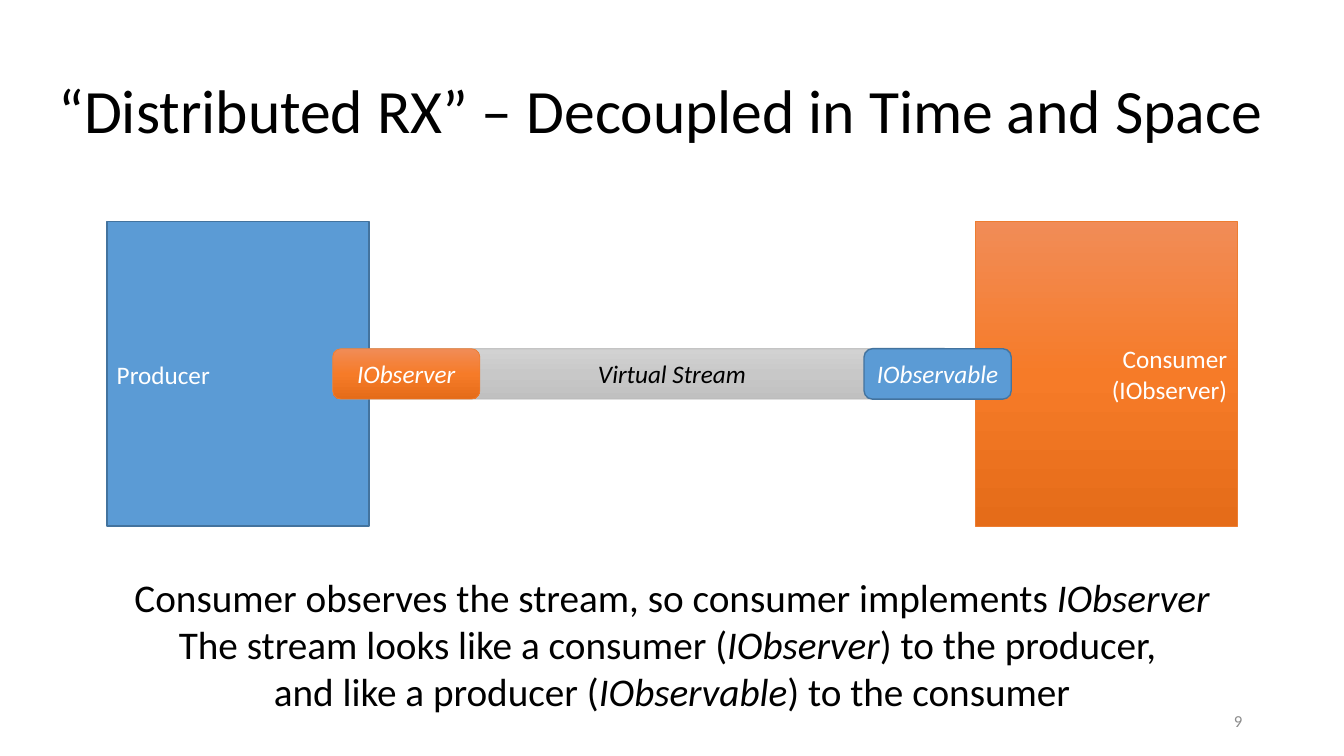
from copy import deepcopy

from pptx import Presentation
from pptx.dml.color import RGBColor
from pptx.enum.shapes import MSO_SHAPE
from pptx.enum.text import MSO_ANCHOR, PP_ALIGN
from pptx.oxml.ns import qn
from pptx.util import Inches, Pt

BLACK = RGBColor(0x00, 0x00, 0x00)
WHITE = RGBColor(0xFF, 0xFF, 0xFF)
PAGE_GRAY = RGBColor(0x8C, 0x8C, 0x8C)
BLUE = RGBColor(0x5B, 0x9B, 0xD5)
BLUE_EDGE = RGBColor(0x43, 0x73, 0x9E)
ORANGE_EDGE = RGBColor(0xED, 0x7D, 0x31)
GRAY_EDGE = RGBColor(0xA5, 0xA5, 0xA5)
ORANGES = [RGBColor(0xF1, 0x8C, 0x57), RGBColor(0xF6, 0x7B, 0x28), RGBColor(0xE5, 0x6C, 0x19)]
GRAYS = [RGBColor(0xD2, 0xD2, 0xD2), RGBColor(0xC8, 0xC8, 0xC8), RGBColor(0xC0, 0xC0, 0xC0)]

BLUE_STYLE = ([BLUE], BLUE_EDGE, 1)
ORANGE_STYLE = (ORANGES, ORANGE_EDGE, 0.5)
GRAY_STYLE = (GRAYS, GRAY_EDGE, 0.5)

TITLE = [[("“Distributed RX” – Decoupled in Time and Space", False)]]
PAGE_NUMBER = [[("9", False)]]
EXPLANATION = [
    [("Consumer observes the stream, so consumer implements ", False), ("IObserver", True)],
    [("The stream looks like a consumer (", False), ("IObserver", True), (") to the producer, ", False)],
    [("and like a producer (", False), ("IObservable", True), (") to the consumer", False)],
]

LEFT, RIGHT = 1.06, 12.27
BOX_W, BOX_H, BOX_TOP = 2.6, 3.02, 2.2
PIPE_LEFT, PIPE_RIGHT, PIPE_H = 3.3, 10.03, 0.5
END_W = 1.46
PIPE_TOP = BOX_TOP + (BOX_H - PIPE_H) / 2

BOXES = [
    ([[("Consumer", False)], [("(IObserver)", False)]], RIGHT - BOX_W, ORANGE_STYLE, PP_ALIGN.RIGHT),
    ([[("Producer", False)]], LEFT, BLUE_STYLE, PP_ALIGN.LEFT),
]
PIPE = [
    ("Virtual Stream", PIPE_LEFT, PIPE_RIGHT - PIPE_LEFT, GRAY_STYLE, BLACK),
    ("IObservable", PIPE_RIGHT - END_W, END_W, BLUE_STYLE, WHITE),
    ("IObserver", PIPE_LEFT, END_W, ORANGE_STYLE, WHITE),
]

prs = Presentation()
prs.slide_width, prs.slide_height = Inches(13.33), Inches(7.5)
slide = prs.slides.add_slide(prs.slide_layouts[6])


def add_text(text, at, size=18, color=BLACK, align=PP_ALIGN.LEFT,
             anchor=MSO_ANCHOR.MIDDLE, spacing=None, shape=None, style=None):
    box = [Inches(v) for v in at]
    if shape is None:
        s = slide.shapes.add_textbox(*box)
    else:
        s = slide.shapes.add_shape(shape, *box)
        s.shadow.inherit = False
        paint(s, *style)
    tf = s.text_frame
    tf.word_wrap = True
    tf.vertical_anchor = anchor
    for i, runs in enumerate(text):
        p = tf.add_paragraph() if i else tf.paragraphs[0]
        p.alignment = align
        p.line_spacing = spacing
        for words, italic in runs:
            r = p.add_run()
            r.text = words
            r.font.name, r.font.size = "Calibri", Pt(size)
            r.font.italic = italic
            r.font.color.rgb = color


def paint(s, colors, edge, width):
    s.line.color.rgb = edge
    s.line.width = Pt(width)
    if len(colors) == 1:
        s.fill.solid()
        s.fill.fore_color.rgb = colors[0]
        return
    s.fill.gradient()
    s.fill.gradient_angle = 270
    stops = s._element.spPr.find(qn("a:gradFill")).find(qn("a:gsLst"))
    stops.insert(1, deepcopy(stops[0]))
    for i, (stop, color) in enumerate(zip(s.fill.gradient_stops, colors)):
        stop.position = i / (len(colors) - 1)
        stop.color.rgb = color


add_text(TITLE, (0.48, 0.4, 12.32, 1.45), size=44, spacing=0.9)
add_text(PAGE_NUMBER, (9.42, 6.95, 3, 0.4), size=12, color=PAGE_GRAY, align=PP_ALIGN.RIGHT)
for text, left, style, align in BOXES:
    add_text(text, (left, BOX_TOP, BOX_W, BOX_H), color=WHITE, align=align,
             shape=MSO_SHAPE.RECTANGLE, style=style)
for label, left, width, style, color in PIPE:
    add_text([[(label, True)]], (left, PIPE_TOP, width, PIPE_H), color=color,
             align=PP_ALIGN.CENTER, shape=MSO_SHAPE.ROUNDED_RECTANGLE, style=style)
add_text(EXPLANATION, (LEFT, 5.64, RIGHT - LEFT, 1.51), size=28,
         align=PP_ALIGN.CENTER, anchor=MSO_ANCHOR.TOP)

prs.save("out.pptx")
